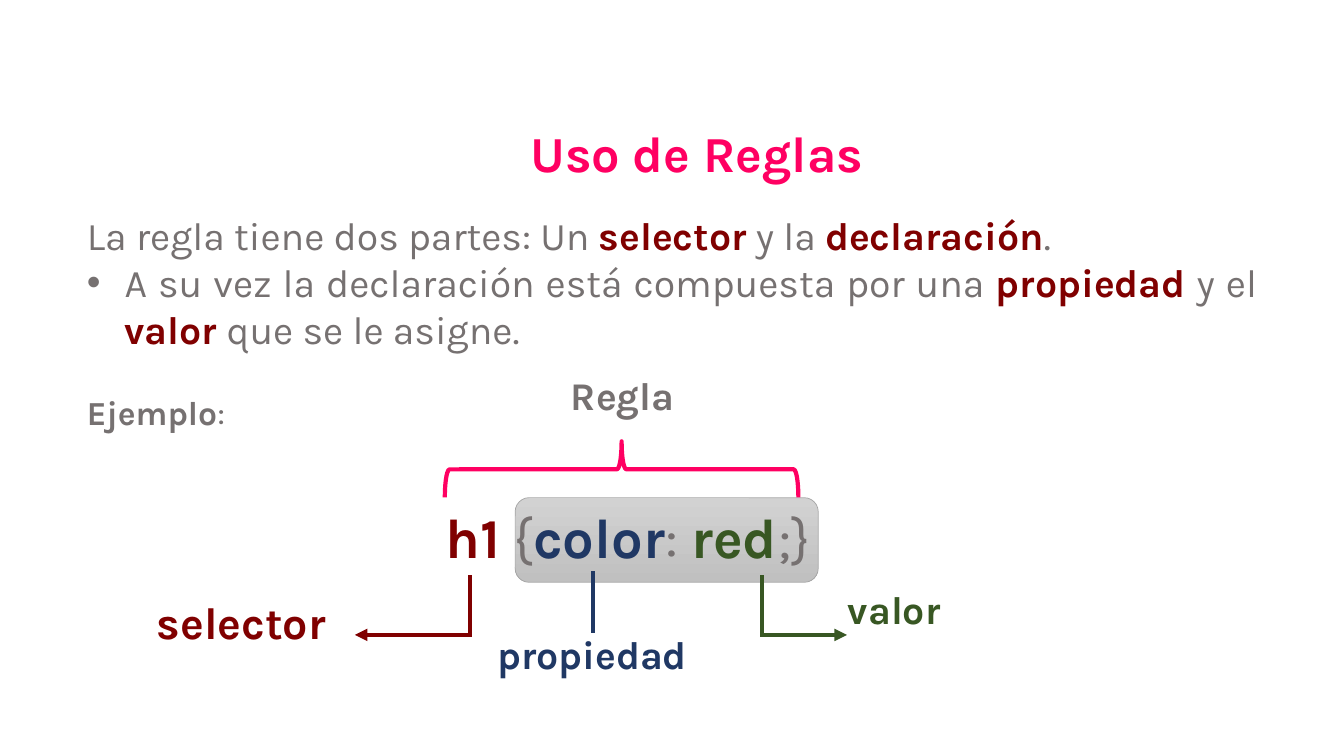
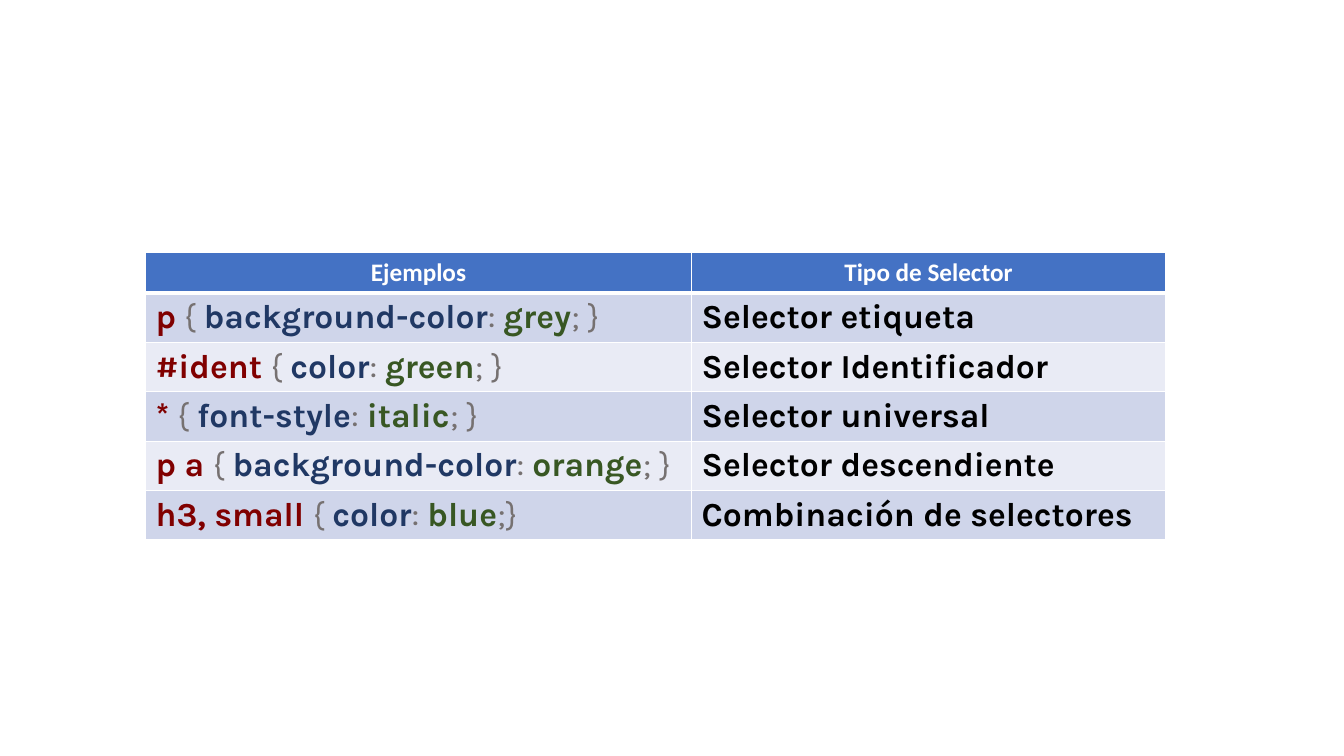
from lxml import etree
from pptx import Presentation
from pptx.dml.color import RGBColor
from pptx.enum.shapes import MSO_CONNECTOR, MSO_SHAPE
from pptx.enum.text import PP_ALIGN
from pptx.oxml.ns import qn
from pptx.util import Pt

CENTER, JUSTIFY, LEFT = PP_ALIGN.CENTER, PP_ALIGN.JUSTIFY, PP_ALIGN.LEFT
STRAIGHT = MSO_CONNECTOR.STRAIGHT
ROUNDED, BRACE = MSO_SHAPE.ROUNDED_RECTANGLE, MSO_SHAPE.LEFT_BRACE

THEME = {
    "font": "Karla",
    "header_font": "Calibri",
    "colors": {
        "title": "FF0062", "text": "767171", "label": "767171",
        "selector": "800000", "property": "203864", "value": "385723",
        "type": "000000", "header": "FFFFFF", "border": "FFFFFF",
        "header_fill": "4472C4", "band_odd": "CFD5EA", "band_even": "E9EBF5",
        "box_top": "D2D2D2", "box_bottom": "C0C0C0", "box_line": "A5A5A5",
    },
    "sizes": {"title": 36, "code": 40, "selector": 32, "body": 28,
              "small": 24, "header": 18},
    "stroke": 3,
}
COLOR = {name: RGBColor.from_string(value) for name, value in THEME["colors"].items()}
SIZE = {name: Pt(value) for name, value in THEME["sizes"].items()}
STROKE = Pt(THEME["stroke"])
CODE_ROLES = ("selector", "text", "property", "text", "value", "text")


def write(paragraph, size, parts, align=CENTER, font=THEME["font"]):
    paragraph.alignment = align
    paragraph.font.name, paragraph.font.size = font, SIZE[size]
    for text, role in parts:
        run = paragraph.add_run()
        run.text = text
        target = paragraph.font if len(parts) == 1 else run.font
        target.bold = role != "text"
        target.color.rgb = COLOR[role]


def add_text(slide, left, top, width, height, wrap=False):
    frame = slide.shapes.add_textbox(Pt(left), Pt(top), Pt(width), Pt(height)).text_frame
    frame.word_wrap = wrap
    return frame


prs = Presentation()
prs.slide_width, prs.slide_height = Pt(960), Pt(540)
blank = prs.slide_layouts[6]

rules = prs.slides.add_slide(blank)

declaration = rules.shapes.add_shape(ROUNDED, Pt(368), Pt(355.5), Pt(216.5), Pt(60.5))
declaration.shadow.inherit = False
declaration.fill.gradient()
declaration.fill.gradient_angle = 270
for stop, shade in zip(declaration.fill.gradient_stops, ("box_top", "box_bottom")):
    stop.color.rgb = COLOR[shade]
declaration.line.color.rgb = COLOR["box_line"]
declaration.line.width = Pt(0.5)

title = add_text(rules, 111.5, 84, 772.5, 51, wrap=True)
write(title.paragraphs[0], "title", [("Uso de Reglas", "title")])

body = add_text(rules, 55, 147.5, 850, 167, wrap=True)
write(body.paragraphs[0], "body", [
    ("La regla tiene dos partes: Un ", "text"), ("selector", "selector"),
    (" y la ", "text"), ("declaración", "selector"), (".", "text")], JUSTIFY)

detail = body.add_paragraph()
detail_format = detail._p.get_or_add_pPr()
detail_format.set("marL", str(Pt(27)))
detail_format.set("indent", str(Pt(-27)))
etree.SubElement(detail_format, qn("a:buFont")).set("typeface", "Arial")
etree.SubElement(detail_format, qn("a:buChar")).set("char", "•")
write(detail, "body", [
    ("A su vez la declaración está compuesta por una ", "text"), ("propiedad", "selector"),
    (" y el ", "text"), ("valor", "selector"), (" que se le asigne.", "text")], JUSTIFY)

example = body.add_paragraph()
example.space_before = Pt(28)
write(example, "small", [("Ejemplo", "label"), (":", "text")], JUSTIFY)

brace = rules.shapes.add_shape(BRACE, Pt(424), Pt(209), Pt(40), Pt(252.5))
brace.rotation = 90
brace.shadow.inherit = False
brace.fill.background()
brace.line.color.rgb = COLOR["title"]
brace.line.width = STROKE

code = add_text(rules, 299, 355.5, 300, 55.5)
write(code.paragraphs[0], "code",
      list(zip(("h1", " {", "color", ": ", "red", ";}"), CODE_ROLES)))

for text, role, size, left, top, width, height in (
    ("Regla", "label", "body", 399, 261.5, 91.5, 41),
    ("selector", "selector", "selector", 101.5, 421, 142, 46),
    ("propiedad", "property", "body", 347, 447, 152, 41),
    ("valor", "value", "body", 597, 414.5, 83.5, 41),
):
    label = add_text(rules, left, top, width, height)
    write(label.paragraphs[0], size, [(text, role)])

for role, x1, y1, x2, y2, arrow in (
    ("selector", 335.5, 411, 335.5, 455, False),
    ("selector", 336, 453.5, 253.5, 453.5, True),
    ("property", 423.5, 408, 423.5, 452, False),
    ("value", 544.5, 411, 544.5, 455, False),
    ("value", 543.5, 453.5, 605, 453.5, True),
):
    pointer = rules.shapes.add_connector(STRAIGHT, Pt(x1), Pt(y1), Pt(x2), Pt(y2))
    pointer.line.color.rgb = COLOR[role]
    pointer.line.width = STROKE
    if arrow:
        etree.SubElement(pointer.line._get_or_add_ln(), qn("a:tailEnd")).set("type", "triangle")
    etree.SubElement(pointer._element.spPr, qn("a:effectLst"))

selectors = prs.slides.add_slide(blank)

examples = (
    (("p", " { ", "background-color", ": ", "grey", "; }"), "Selector etiqueta"),
    (("#ident ", "{ ", "color", ": ", "green", "; }"), "Selector Identificador"),
    (("*", " { ", "font-style", ": ", "italic", "; }"), "Selector universal"),
    (("p a ", "{ ", "background-color", ": ", "orange", "; }"), "Selector descendiente"),
    (("h3, small ", "{ ", "color", ": ", "blue", ";}"), "Combinación de selectores"),
)
header_height, row_height = 29.2, 35.3
table = selectors.shapes.add_table(
    len(examples) + 1, 2, Pt(104), Pt(180), Pt(728.5),
    Pt(header_height + row_height * len(examples))).table
table.columns[0].width, table.columns[1].width = Pt(390), Pt(338.5)

for index, row in enumerate(table.rows):
    row.height = Pt(row_height if index else header_height)
    band = "header_fill" if index == 0 else "band_odd" if index % 2 else "band_even"
    for cell in row.cells:
        cell_format = cell._tc.get_or_add_tcPr()
        for side in ("L", "R", "T", "B"):
            thick = (index == 0 and side == "B") or (index == 1 and side == "T")
            border = etree.SubElement(cell_format, qn(f"a:ln{side}"), w=str(Pt(3 if thick else 1)))
            paint = etree.SubElement(border, qn("a:solidFill"))
            etree.SubElement(paint, qn("a:srgbClr"), val=THEME["colors"]["border"])
        cell.fill.solid()
        cell.fill.fore_color.rgb = COLOR[band]

for column, heading in enumerate(("Ejemplos", "Tipo de Selector")):
    write(table.cell(0, column).text_frame.paragraphs[0], "header",
          [(heading, "header")], font=THEME["header_font"])

for index, (rule, kind) in enumerate(examples, 1):
    for column, parts in enumerate((list(zip(rule, CODE_ROLES)), [(kind, "type")])):
        write(table.cell(index, column).text_frame.paragraphs[0], "small", parts, LEFT)

prs.save("out.pptx")
